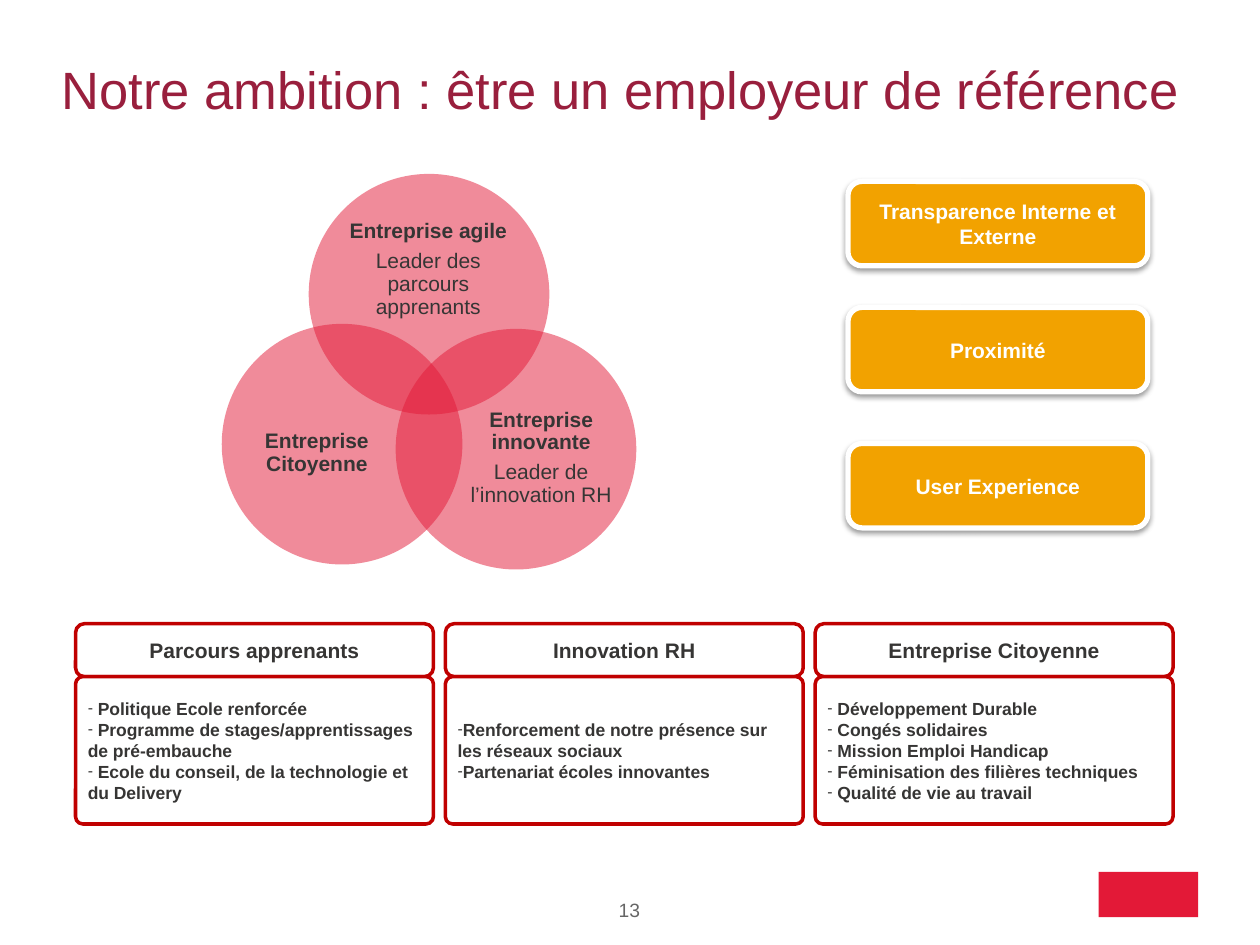
from lxml import etree
from pptx import Presentation
from pptx.dml.color import RGBColor
from pptx.enum.shapes import MSO_SHAPE
from pptx.enum.text import MSO_ANCHOR, PP_ALIGN
from pptx.oxml.ns import qn
from pptx.util import Inches, Pt

RECTANGLE = MSO_SHAPE.RECTANGLE
ROUNDED = MSO_SHAPE.ROUNDED_RECTANGLE
OVAL = MSO_SHAPE.OVAL
MIDDLE = MSO_ANCHOR.MIDDLE
TOP = MSO_ANCHOR.TOP
LEFT = PP_ALIGN.LEFT
CENTER = PP_ALIGN.CENTER

FONT = "Arial"
DARK, WHITE, RED, ORANGE = "363534", "FFFFFF", "E31937", "F2A200"
BORDER, TITLE, GREY = "C00000", "991F3D", "666666"

CIRCLE_SIZE = 1.91
CIRCLES = [
    ((2.45, 1.38), (2.7, 1.71, 1.4, 0.86), "Entreprise agile", "Leader des parcours apprenants"),
    ((3.14, 2.61), (3.72, 3.11, 1.15, 1.05), "Entreprise innovante", "Leader de l’innovation RH"),
    ((1.76, 2.57), (1.94, 3.07, 1.15, 1.05), "Entreprise Citoyenne", None),
]
VALUES = [
    (1.44, "Transparence Interne et Externe"),
    (2.44, "Proximité"),
    (3.52, "User Experience"),
]
CARD_LEFT, CARD_PITCH, CARD_WIDTH = 0.6, 2.935, 2.84
CARD_TOP, HEADER_HEIGHT, BODY_HEIGHT = 4.95, 0.42, 1.17
CARDS = [
    ("Parcours apprenants", [
        " Politique Ecole renforcée",
        " Programme de stages/apprentissages de pré-embauche",
        " Ecole du conseil, de la technologie et du Delivery",
    ]),
    ("Innovation RH", [
        "Renforcement de notre présence sur les réseaux sociaux",
        "Partenariat écoles innovantes",
    ]),
    ("Entreprise Citoyenne", [
        " Développement Durable",
        " Congés solidaires",
        " Mission Emploi Handicap",
        " Féminisation des filières techniques",
        " Qualité de vie au travail",
    ]),
]


def color(value):
    return RGBColor.from_string(value)


def add_xml(parent, tag, **attributes):
    return etree.SubElement(parent, qn(tag), attributes)


def add_bullet(para):
    properties = para._p.get_or_add_pPr()
    add_xml(properties, "a:buSzPct", val="90000")
    add_xml(properties, "a:buFont", typeface=FONT)
    add_xml(properties, "a:buChar", char="-")


def write(box, lines, size=12, fill=DARK, bold=(True,), align=CENTER, anchor=MIDDLE,
          inset=0.0, wrap=True, bullet=False, spacing=None, after=None):
    frame = box.text_frame
    frame.word_wrap = wrap
    frame.vertical_anchor = anchor
    frame.margin_left = frame.margin_right = Inches(inset)
    frame.margin_top = frame.margin_bottom = 0
    for index, line in enumerate(lines):
        para = frame.add_paragraph() if index else frame.paragraphs[0]
        para.alignment = align
        if spacing:
            para.line_spacing = spacing
        if after:
            para.space_after = Pt(after)
        if bullet:
            add_bullet(para)
        span = para.add_run()
        span.text = line
        span.font.name = FONT
        span.font.size = Pt(size)
        span.font.bold = bold[min(index, len(bold) - 1)]
        span.font.color.rgb = color(fill)


def add_text(page, area, lines, **style):
    box = page.shapes.add_textbox(*map(Inches, area))
    write(box, lines, **style)


def add_panel(page, kind, area, fill, line=None, width=0):
    panel = page.shapes.add_shape(kind, *map(Inches, area))
    panel.shadow.inherit = False
    panel.fill.solid()
    panel.fill.fore_color.rgb = color(fill)
    if line:
        panel.line.color.rgb = color(line)
        panel.line.width = Pt(width)
    else:
        panel.line.fill.background()
    return panel


def add_circle(page, corner, area, heading, detail):
    circle = add_panel(page, OVAL, (*corner, CIRCLE_SIZE, CIRCLE_SIZE), RED)
    tint = circle._element.spPr.find(qn("a:solidFill"))[0]
    add_xml(tint, "a:alpha", val="50000")
    lines = [heading, detail] if detail else [heading]
    add_text(page, area, lines, bold=(True, False), spacing=0.9, after=4.2)


def add_value(page, top, label):
    panel = add_panel(page, ROUNDED, (6.73, top, 2.38, 0.67), ORANGE, WHITE, 3)
    effects = panel._element.spPr.find(qn("a:effectLst"))
    shadow = add_xml(effects, "a:outerShdw", blurRad=str(Pt(3.1)), dist=str(Pt(1.6)),
                     dir="5400000", rotWithShape="0")
    shade = add_xml(shadow, "a:srgbClr", val="000000")
    add_xml(shade, "a:alpha", val="38000")
    write(panel, [label], fill=WHITE, inset=0.08)


def add_card(page, column, heading, items):
    left = CARD_LEFT + column * CARD_PITCH
    header = add_panel(page, ROUNDED, (left, CARD_TOP, CARD_WIDTH, HEADER_HEIGHT), WHITE, BORDER, 2)
    write(header, [heading], inset=0.08)
    body_area = (left, CARD_TOP + HEADER_HEIGHT, CARD_WIDTH, BODY_HEIGHT)
    body = add_panel(page, ROUNDED, body_area, WHITE, BORDER, 2)
    body.adjustments[0] = 0.05
    write(body, items, size=10, align=LEFT, inset=0.08, bullet=True)


def main():
    deck = Presentation()
    deck.slide_width, deck.slide_height = Inches(10), Inches(7.5)
    page = deck.slides.add_slide(deck.slide_layouts[6])
    add_panel(page, RECTANGLE, (8.72, 6.92, 0.79, 0.36), RED)
    add_text(page, (0.49, 0.2, 9.01, 1.01), ["Notre ambition : être un employeur de référence"],
             size=30, fill=TITLE, bold=(False,), align=LEFT)
    add_text(page, (4.57, 7.13, 0.85, 0.26), ["13"],
             size=11, fill=GREY, bold=(False,), anchor=TOP, wrap=False)
    for value in VALUES:
        add_value(page, *value)
    for column, card in enumerate(CARDS):
        add_card(page, column, *card)
    for circle in CIRCLES:
        add_circle(page, *circle)
    deck.save("out.pptx")


if __name__ == "__main__":
    main()
